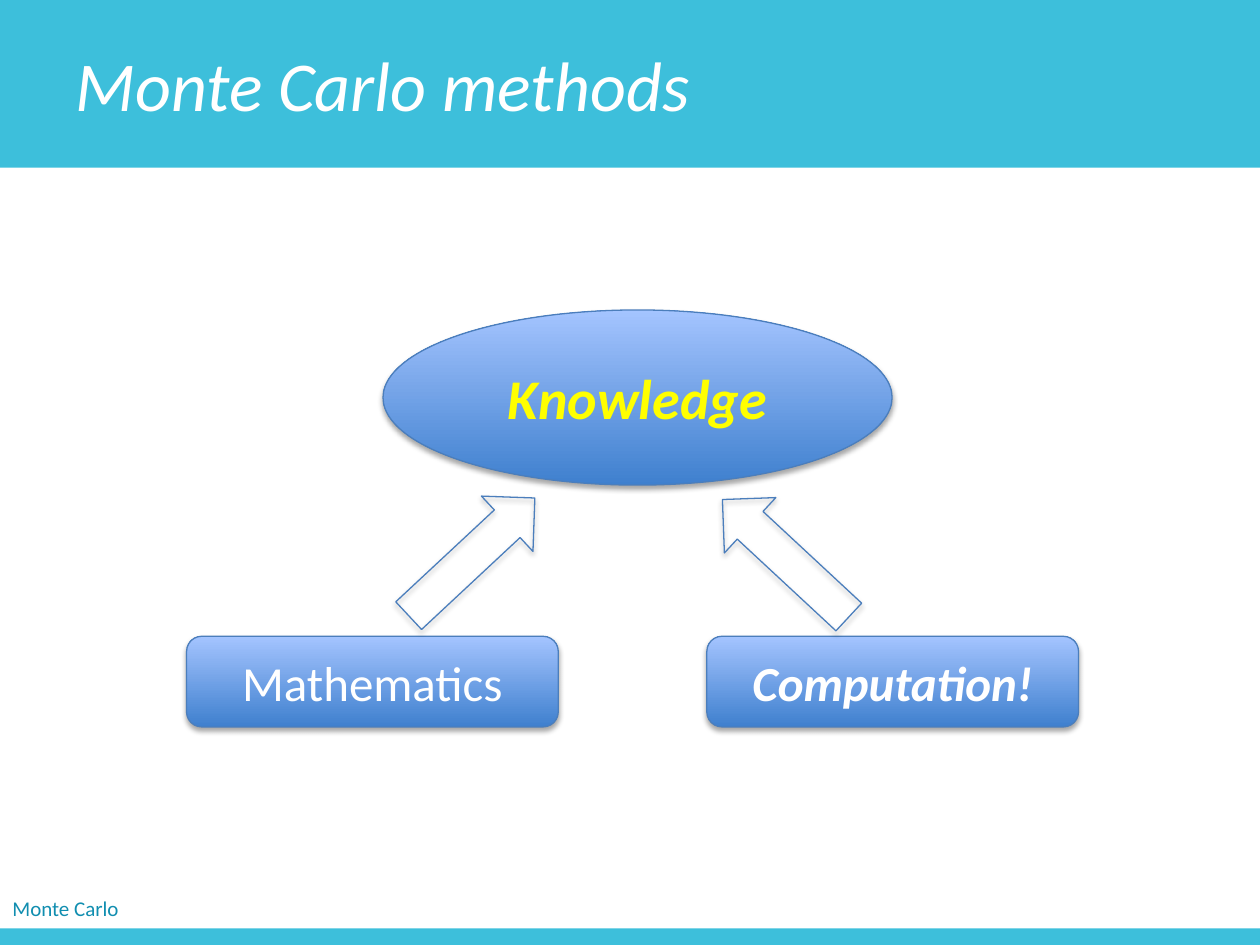
from dataclasses import dataclass

from lxml.etree import SubElement
from pptx import Presentation
from pptx.dml.color import RGBColor as RGB
from pptx.enum.shapes import MSO_SHAPE as Preset
from pptx.enum.text import MSO_ANCHOR as Anchor, MSO_AUTO_SIZE as AutoSize, PP_ALIGN as Align
from pptx.oxml.ns import qn
from pptx.shapes.autoshape import Shape
from pptx.slide import Slide
from pptx.text.text import _Paragraph as Paragraph
from pptx.util import Pt

SLIDE_WIDTH, SLIDE_HEIGHT = 720, 540


@dataclass(frozen=True)
class Theme:
    font: str = "Calibri"
    band: RGB = RGB(0x3D, 0xBF, 0xDB)
    footer: RGB = RGB(0x11, 0x8E, 0xB0)
    outline: RGB = RGB(0x4B, 0x7E, 0xBC)
    node_bottom: RGB = RGB(0x3F, 0x80, 0xCE)
    node_top: RGB = RGB(0xA4, 0xC4, 0xFF)
    white: RGB = RGB(0xFF, 0xFF, 0xFF)
    highlight: RGB = RGB(0xFF, 0xFF, 0x00)
    title_size: float = 40
    goal_size: float = 32
    source_size: float = 28
    footer_size: float = 12


THEME = Theme()


@dataclass(frozen=True)
class Box:
    left: float
    top: float
    width: float
    height: float

    def lengths(self) -> tuple[Pt, Pt, Pt, Pt]:
        return Pt(self.left), Pt(self.top), Pt(self.width), Pt(self.height)


@dataclass(frozen=True)
class Node:
    label: str
    preset: Preset
    box: Box
    size: float
    color: RGB = THEME.white
    emphasis: bool = False


@dataclass(frozen=True)
class Arrow:
    box: Box
    rotation: float


NODES = [
    Node("Knowledge", Preset.OVAL, Box(218.9, 177.1, 290.9, 100.1),
         THEME.goal_size, THEME.highlight, True),
    Node("Mathematics", Preset.ROUNDED_RECTANGLE, Box(106.6, 363.6, 212.4, 51.8),
         THEME.source_size),
    Node("Computation!", Preset.ROUNDED_RECTANGLE, Box(403.9, 363.6, 212.4, 51.8),
         THEME.source_size, emphasis=True),
]
ARROWS = [
    Arrow(Box(220.3, 296.6, 98.6, 43.2), 317),
    Arrow(Box(399.6, 297.4, 98.6, 43.2), 222.9),
]


def style_text(paragraph: Paragraph, size: float, color: RGB,
               bold: bool = False, italic: bool = False) -> None:
    font = paragraph.font
    font.name, font.size = THEME.font, Pt(size)
    font.bold, font.italic = bold, italic
    font.color.rgb = color


def outline_with_shadow(shape: Shape) -> None:
    shape.line.color.rgb = THEME.outline
    shape.line.width = Pt(0.75)
    shape.shadow.inherit = False
    effects = shape._element.spPr.find(qn("a:effectLst"))
    shadow = SubElement(effects, qn("a:outerShdw"), blurRad=str(Pt(3.1)),
                        dist=str(Pt(1.8)), dir="5400000", rotWithShape="0")
    shade = SubElement(shadow, qn("a:srgbClr"), val="000000")
    SubElement(shade, qn("a:alpha"), val="35000")


def draw_title(slide: Slide) -> None:
    title = slide.shapes.title
    title.left, title.top, title.width, title.height = Box(
        0, -0.7, SLIDE_WIDTH, 96.5).lengths()
    title.fill.solid()
    title.fill.fore_color.rgb = THEME.band
    frame = title.text_frame
    frame.text = "Monte Carlo methods"
    frame.margin_left = Pt(43.2)
    frame.vertical_anchor = Anchor.MIDDLE
    frame.auto_size = AutoSize.NONE
    heading = frame.paragraphs[0]
    heading.alignment = Align.LEFT
    style_text(heading, THEME.title_size, THEME.white, italic=True)


def draw_node(slide: Slide, node: Node) -> None:
    shape = slide.shapes.add_shape(node.preset, *node.box.lengths())
    shape.fill.gradient()
    shape.fill.gradient_angle = 90
    for stop, color in zip(shape.fill.gradient_stops, (THEME.node_bottom, THEME.node_top)):
        stop.color.rgb = color
    for position, stop in enumerate(shape.fill.gradient_stops):
        stop.position = position
    outline_with_shadow(shape)
    frame = shape.text_frame
    frame.text = node.label
    frame.vertical_anchor = Anchor.MIDDLE
    label = frame.paragraphs[0]
    label.alignment = Align.CENTER
    style_text(label, node.size, node.color, node.emphasis, node.emphasis)


def draw_arrow(slide: Slide, arrow: Arrow) -> None:
    shape = slide.shapes.add_shape(Preset.RIGHT_ARROW, *arrow.box.lengths())
    shape.rotation = arrow.rotation
    shape.fill.background()
    outline_with_shadow(shape)


def draw_footer(slide: Slide) -> None:
    frame = slide.shapes.add_textbox(*Box(0, 508.3, 75.6, 21.6).lengths()).text_frame
    frame.text = "Monte Carlo"
    frame.word_wrap = False
    frame.auto_size = AutoSize.SHAPE_TO_FIT_TEXT
    style_text(frame.paragraphs[0], THEME.footer_size, THEME.footer)

    strip_height = 9.4
    strip = slide.shapes.add_shape(Preset.RECTANGLE, *Box(
        0, SLIDE_HEIGHT - strip_height, SLIDE_WIDTH, strip_height).lengths())
    strip.fill.solid()
    strip.fill.fore_color.rgb = THEME.band
    strip.line.fill.background()
    strip.shadow.inherit = False


def main() -> None:
    deck = Presentation()
    deck.slide_width, deck.slide_height = Pt(SLIDE_WIDTH), Pt(SLIDE_HEIGHT)
    title_only = deck.slide_layouts[5]
    slide = deck.slides.add_slide(title_only)
    draw_title(slide)
    for node in NODES:
        draw_node(slide, node)
    for arrow in ARROWS:
        draw_arrow(slide, arrow)
    draw_footer(slide)
    deck.save("out.pptx")


if __name__ == "__main__":
    main()
